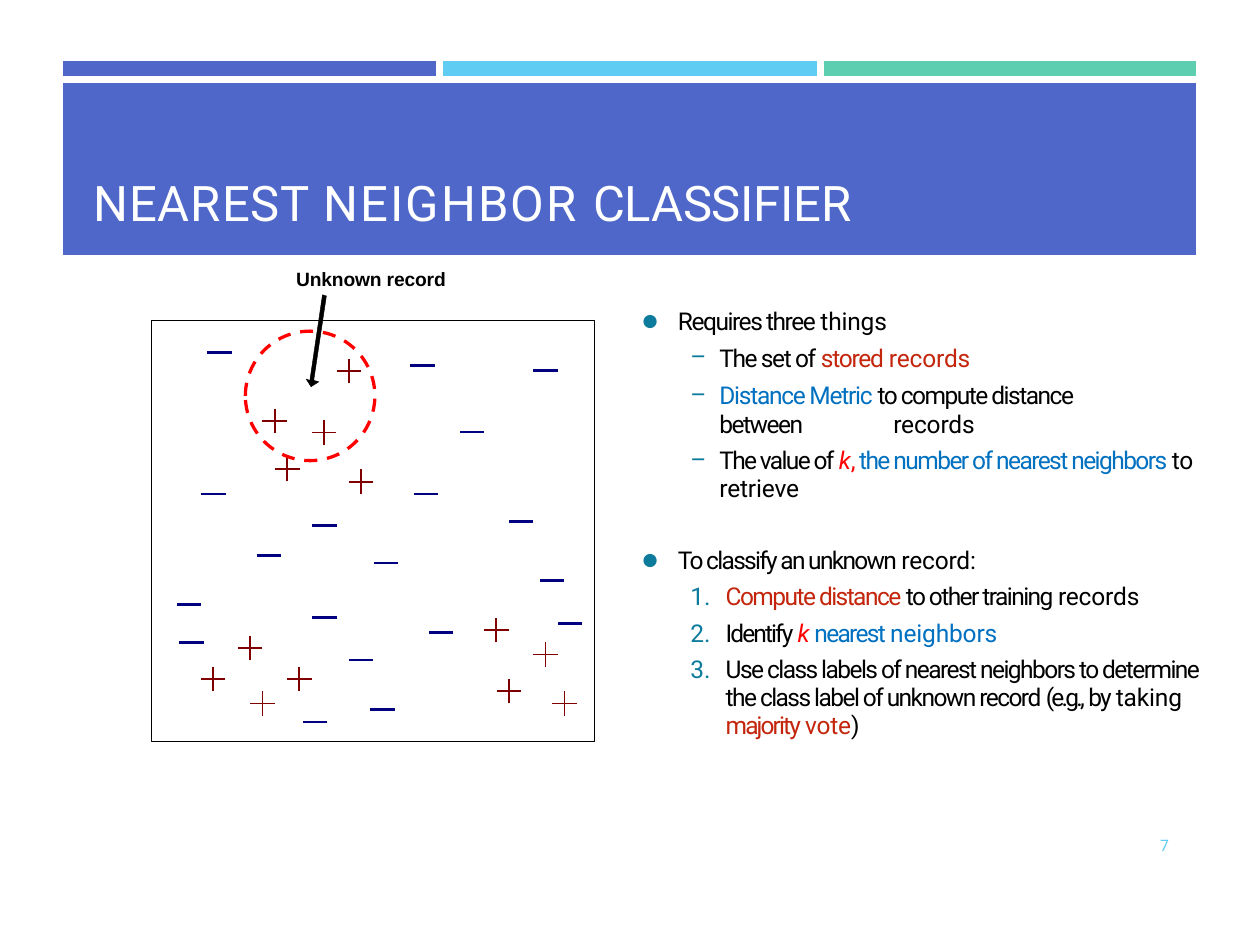
from lxml.etree import SubElement
from pptx import Presentation
from pptx.dml.color import RGBColor
from pptx.enum.dml import MSO_LINE
from pptx.enum.shapes import MSO_SHAPE
from pptx.enum.text import MSO_ANCHOR, MSO_AUTO_SIZE
from pptx.oxml.ns import qn
from pptx.util import Pt

COLORS = {
    "indigo": "4E67C8", "sky": "5ECCF3", "mint": "5DCEAF", "white": "FFFFFF",
    "black": "000000", "bullet": "0C7B9C", "rust": "C3260C", "blue": "0070C0",
    "red": "FF0000", "plus": "800000", "minus": "000080",
}

# Centres of the training records, and half the length of a mark
PLUS_RECORDS = [
    (157, 240.5), (185.3, 247.2), (164.2, 268.2), (199.4, 211.9), (206.3, 275.3),
    (121.9, 388), (171.1, 388), (150, 402), (143, 370.3), (311.8, 374),
    (322.6, 402), (290.9, 395), (283.7, 360),
]
MINUS_RECORDS = [
    (122, 282.2), (252, 361.4), (315.4, 331.9), (218.5, 405.4), (220.7, 321.8),
    (269.6, 247), (153.7, 317.5), (241.6, 208.8), (108, 345.6), (125.3, 201.6),
    (297.7, 298.1), (243.4, 282.2), (185.4, 352.8), (109.4, 367.2), (311.8, 211.7),
    (185.4, 300.2), (206.3, 377.3), (180, 412.6), (325.8, 356.4),
]
HALF_MARK = 7
ARROW = [(184.3, 168.5), (177.1, 217.4), (175, 216.7), (177.8, 221), (182.2, 218.2),
         (179.3, 217.4), (186.5, 169.2)]

# Kind of list item: level, left margin, hanging indent, bullet tag, bullet attributes
ITEM_KINDS = {
    "point": (0, 20.9, -20.2, "a:buChar", {"char": "●"}),
    "dash": (1, 44.6, -16.6, "a:buChar", {"char": "–"}),
    "step": (0, 48.2, -20.2, "a:buAutoNum", {"type": "arabicPeriod"}),
}
# Item: kind, space before, line spacing, runs of (text, letter spacing, colour)
ITEMS = [
    ("point", 0, None, [("Requires three ", -0.85, "black"), ("things", -0.1, "black")]),
    ("dash", 4.1, None, [("The set of ", -0.83, "black"), ("stored ", -0.7, "rust"),
                         ("records", -0.1, "rust")]),
    ("dash", 5.5, Pt(16.1), [("Distance Metric ", -0.75, "blue"),
                             ("to compute distance \vbetween \t", -0.88, "black"),
                             ("records", -0.1, "black")]),
    ("dash", 4.8, Pt(16.1), [("The value of ", -0.97, "black"), ("k", -1.6, "red"),
                             (", ", -1.6, "red"),
                             ("the number of nearest neighbors ", -0.92, "blue"),
                             ("to \t", -0.2, "black"), ("retrieve", -0.1, "black")]),
    ("point", 24, None, [("To classify an unknown ", -1, "black"),
                         ("record:", -0.1, "black")]),
    ("step", 4, None, [("Compute distance ", -0.9, "rust"),
                       ("to other training ", -0.9, "black"), ("records", -0.1, "black")]),
    ("step", 4.3, None, [("Identify ", -1.1, "black"), ("k ", -0.7, "red"),
                         ("nearest ", -1, "blue"), ("neighbors", -0.1, "blue")]),
    ("step", 4.9, 0.95, [("Use class labels of nearest neighbors to determine the class "
                          "label of unknown record ", -0.92, "black"),
                         ("(e.g., ", -1.6, "black"), ("by ", -1.1, "black"),
                         ("taking ", -0.1, "black"), ("majority ", -1.1, "rust"),
                         ("vote", -0.1, "rust"), (")", -0.1, "black")]),
]


def rgb(name):
    return RGBColor.from_string(COLORS[name])


def set_font(paragraph, family, size, color, bold=False):
    font = paragraph.font
    font.name, font.size, font.bold = family, Pt(size), bold
    font.color.rgb = rgb(color)


def add_run(paragraph, text, spacing, color):
    run = paragraph.add_run()
    run.text = text
    run.font.color.rgb = rgb(color)
    if text.strip() == "k":
        run.font.italic = True
    run.font._element.set("spc", str(round(spacing * 100)))


def add_runs(paragraph, runs):
    for text, spacing, color in runs:
        for number, part in enumerate(text.split("\v")):
            if number:
                paragraph.add_line_break()
            add_run(paragraph, part, spacing, color)


def add_cell_border(cell, side):
    line = SubElement(cell._tc.get_or_add_tcPr(), qn(f"a:ln{side}"), w=str(Pt(4.5)))
    fill = SubElement(line, qn("a:solidFill"))
    SubElement(fill, qn("a:srgbClr"), val=COLORS["white"])


def add_banner(slide):
    table = slide.shapes.add_table(2, 3, Pt(35.3), Pt(34.6), Pt(648.7), Pt(111.6)).table
    table.first_row = table.horz_banding = False
    for column, width in zip(table.columns, (216, 217.4, 215.3)):
        column.width = Pt(width)
    for row, height in zip(table.rows, (10.8, 100.8)):
        row.height = Pt(height)

    # Coloured strips, with white gaps on the inner edges
    for index, color in enumerate(("indigo", "sky", "mint")):
        strip, below = table.cell(0, index), table.cell(1, index)
        strip.margin_top = strip.margin_bottom = 0
        set_font(strip.text_frame.paragraphs[0], "Roboto", 4, color)
        strip.text_frame.paragraphs[0]._p.get_or_add_endParaRPr().set("sz", "400")
        for side, inner in (("L", index > 0), ("R", index < 2), ("B", True)):
            if inner:
                add_cell_border(strip, side)
        add_cell_border(below, "T")
        for cell, fill_color in ((strip, color), (below, "indigo")):
            cell.fill.solid()
            cell.fill.fore_color.rgb = rgb(fill_color)

    # Title across the second row
    title = table.cell(1, 0)
    title.merge(table.cell(1, 2))
    title.margin_left, title.margin_top = Pt(18), Pt(55.5)
    title.margin_right = title.margin_bottom = 0
    paragraph = title.text_frame.paragraphs[0]
    set_font(paragraph, "Roboto", 28, "white")
    add_runs(paragraph, [("NEAREST ", 0.6, "white"), ("NEIGHBOR ", 1.2, "white"),
                         ("CLASSIFIER", -0.1, "white")])


def format_item(paragraph, kind, before, line_spacing):
    level, left, indent, bullet_tag, bullet = ITEM_KINDS[kind]
    paragraph.level = level
    properties = paragraph._p.get_or_add_pPr()
    for key, value in (("marL", Pt(left)), ("indent", Pt(indent)), ("defTabSz", Pt(72))):
        properties.set(key, str(value))
    bullet_color = SubElement(properties, qn("a:buClr"))
    SubElement(bullet_color, qn("a:srgbClr"), val=COLORS["bullet"])
    size = 71 if kind == "point" else 100
    SubElement(properties, qn("a:buSzPct"), val=str(size * 1000))
    SubElement(properties, qn("a:buFont"), typeface="Roboto")
    SubElement(properties, qn(bullet_tag), bullet)
    tabs = SubElement(properties, qn("a:tabLst"))
    SubElement(tabs, qn("a:tab"), pos=str(Pt(left)), algn="l")
    paragraph.space_before = Pt(before)
    if line_spacing:
        paragraph.line_spacing = line_spacing
    set_font(paragraph, "Roboto", 14, "black")


def fill_list(body):
    body.left, body.top, body.width, body.height = Pt(366.5), Pt(169.9), Pt(325.4), Pt(253.4)
    frame = body.text_frame
    frame.auto_size, frame.vertical_anchor = MSO_AUTO_SIZE.NONE, MSO_ANCHOR.TOP
    frame.margin_left = frame.margin_right = frame.margin_bottom = 0
    frame.margin_top = Pt(5)
    for index, (kind, before, line_spacing, runs) in enumerate(ITEMS):
        paragraph = frame.add_paragraph() if index else frame.paragraphs[0]
        format_item(paragraph, kind, before, line_spacing)
        add_runs(paragraph, runs)


def style_outline(shape, color, width, fill=None):
    shape.shadow.inherit = False
    if fill:
        shape.fill.solid()
        shape.fill.fore_color.rgb = rgb(fill)
    else:
        shape.fill.background()
    shape.line.color.rgb = rgb(color)
    shape.line.width = Pt(width)


def add_preset(slide, preset, left, top, width, height, color, line_width):
    shape = slide.shapes.add_shape(preset, Pt(left), Pt(top), Pt(width), Pt(height))
    style_outline(shape, color, line_width)
    return shape


def add_outline(slide, contours, color, width, close=False, fill=None):
    paths = [[(Pt(x), Pt(y)) for x, y in contour] for contour in contours]
    builder = slide.shapes.build_freeform(*paths[0][0])
    for index, path in enumerate(paths):
        if index:
            builder.move_to(*path[0])
        builder.add_line_segments(path[1:], close=close)
    style_outline(builder.convert_to_shape(), color, width, fill)


def horizontal(x, y):
    return [(x + HALF_MARK, y), (x - HALF_MARK, y)]


def vertical(x, y):
    return [(x, y + HALF_MARK), (x, y - HALF_MARK)]


def add_label(slide, box, text, family, size, color, bold=False, spacing=0):
    frame = slide.shapes.add_textbox(*(Pt(length) for length in box)).text_frame
    frame.word_wrap = True
    frame.margin_left = frame.margin_right = frame.margin_top = frame.margin_bottom = 0
    paragraph = frame.paragraphs[0]
    set_font(paragraph, family, size, color, bold)
    add_run(paragraph, text, spacing, color)


def add_scatter(slide):
    add_preset(slide, MSO_SHAPE.RECTANGLE, 86.4, 182.9, 253.4, 240.5, "black", 0.25)
    pluses = [stroke(x, y) for x, y in PLUS_RECORDS for stroke in (horizontal, vertical)]
    add_outline(slide, pluses, "plus", 1)
    add_outline(slide, [horizontal(x, y) for x, y in MINUS_RECORDS], "minus", 1.44)
    # Neighborhood of the unknown record
    circle = add_preset(slide, MSO_SHAPE.OVAL, 140.2, 189.2, 74, 74, "red", 1.88)
    circle.line.dash_style = MSO_LINE.DASH
    add_outline(slide, [ARROW], "black", 0.25, close=True, fill="black")
    add_label(slide, (169.2, 152.6, 89, 15), "Unknown record", "Arial", 11, "black",
              bold=True, spacing=-0.1)


def main():
    deck = Presentation()
    deck.slide_width, deck.slide_height = Pt(720), Pt(540)
    slide = deck.slides.add_slide(deck.slide_layouts[1])
    # The title stands in the banner table
    unused_title = slide.shapes.title._element
    unused_title.getparent().remove(unused_title)
    add_banner(slide)
    fill_list(slide.placeholders[1])
    add_scatter(slide)
    # Slide number
    add_label(slide, (663, 477.5, 10, 12), "7", "Roboto", 9, "sky", spacing=-0.5)
    deck.save("out.pptx")


if __name__ == "__main__":
    main()
